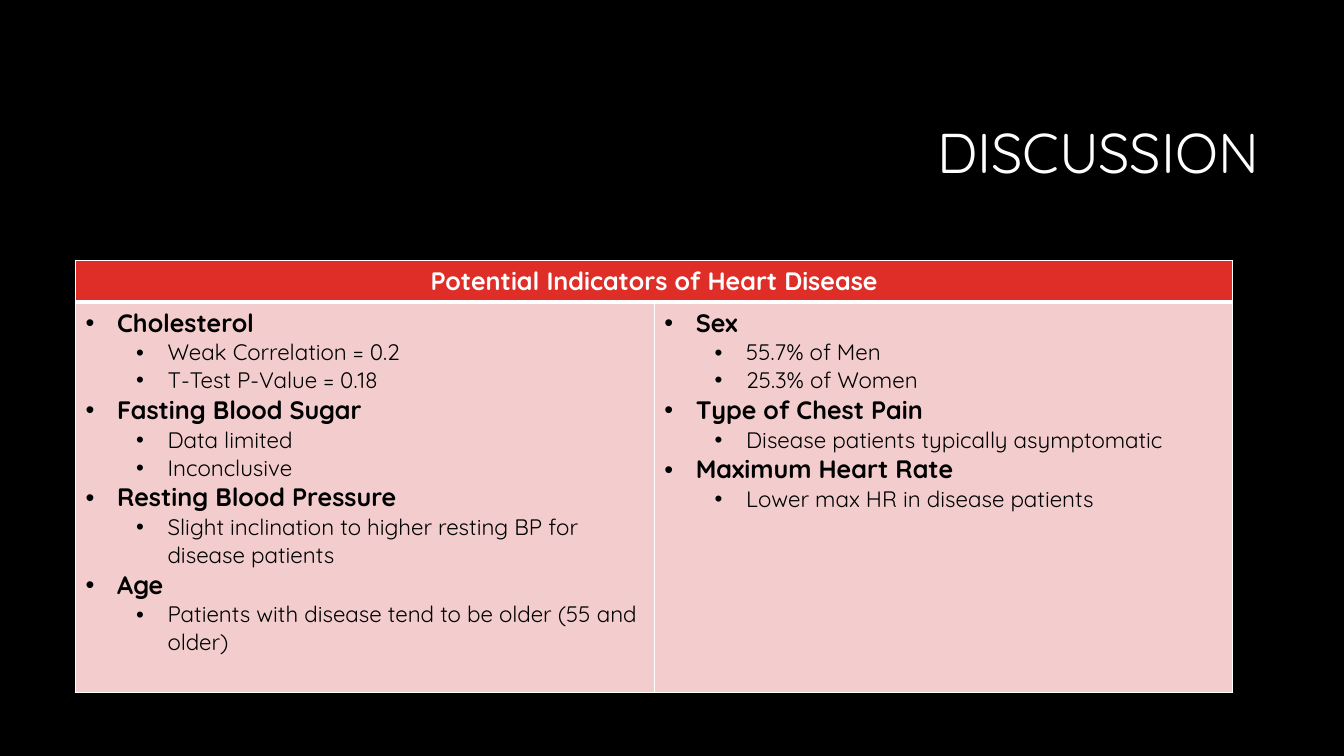
from lxml.etree import SubElement
from pptx import Presentation
from pptx.dml.color import RGBColor
from pptx.enum.text import MSO_ANCHOR as Anchor, PP_ALIGN as Align
from pptx.oxml.ns import qn
from pptx.util import Pt

COLORS = {"black": "000000", "white": "FFFFFF", "red": "DF2E28", "pink": "F3CDCD"}
INDICATORS = [
    [
        ("Cholesterol", ["Weak Correlation = 0.2", "T-Test P-Value = 0.18"]),
        ("Fasting Blood Sugar", ["Data limited", "Inconclusive"]),
        ("Resting Blood Pressure",
         ["Slight inclination to higher resting BP for disease patients"]),
        ("Age", ["Patients with disease tend to be older (55 and older)"]),
    ],
    [
        ("Sex", ["55.7% of Men", "25.3% of Women"]),
        ("Type of Chest Pain", ["Disease patients typically asymptomatic"]),
        ("Maximum Heart Rate", ["Lower max HR in disease patients"]),
    ],
]


def color(name):
    """Return the named palette color."""
    return RGBColor.from_string(COLORS[name])


def write(para, text, size=18, ink="black", bold=False, align=Align.LEFT):
    """Add formatted text to a paragraph."""
    para.alignment = align
    span = para.add_run()
    span.text = text
    span.font.name = "Quicksand"
    span.font.size = Pt(size)
    span.font.bold = bold
    span.font.color.rgb = color(ink)


class Page:
    """Style and drawing methods for one slide."""

    hang = 22.5
    step = 36

    def __init__(self, deck):
        """Add a title-only slide with a black background."""
        self.slide = deck.slides.add_slide(deck.slide_layouts[5])
        self.slide.background.fill.solid()
        self.slide.background.fill.fore_color.rgb = color("black")

    def title(self, text, left, top, width, height):
        """Place and fill the title placeholder."""
        box = self.slide.shapes.title
        box.left, box.top, box.width, box.height = map(Pt, (left, top, width, height))
        box.text_frame.vertical_anchor = Anchor.MIDDLE
        para = box.text_frame.paragraphs[0]
        para.line_spacing = 0.9
        write(para, text, size=40, ink="white", align=Align.RIGHT)

    def table(self, left, top, width, heights, columns):
        """Add an empty table with the given row heights."""
        frame = self.slide.shapes.add_table(
            len(heights), columns, Pt(left), Pt(top), Pt(width), Pt(sum(heights)))
        for row, height in zip(frame.table.rows, heights):
            row.height = Pt(height)
        return frame.table

    def cell(self, cell, fill, top=1, bottom=1):
        """Give a cell its white borders and its fill."""
        properties = cell._tc.get_or_add_tcPr()
        for side, weight in zip("LRTB", (1, 1, top, bottom)):
            line = SubElement(properties, qn(f"a:ln{side}"), w=str(Pt(weight)))
            paint = SubElement(line, qn("a:solidFill"))
            SubElement(paint, qn("a:srgbClr"), val=COLORS["white"])
        cell.fill.solid()
        cell.fill.fore_color.rgb = color(fill)

    def bullet(self, para, text, level=0):
        """Write one bulleted paragraph, bold at the first level."""
        para.level = level
        properties = para._p.get_or_add_pPr()
        properties.set("marL", str(Pt(self.hang + self.step * level)))
        properties.set("indent", str(Pt(-self.hang)))
        SubElement(properties, qn("a:buFont"), typeface="Arial")
        SubElement(properties, qn("a:buChar"), char="•")
        write(para, text, size=18 - 2 * level, bold=level == 0)

    def outline(self, cell, topics):
        """Fill a cell with topics and their findings."""
        lines = [(text, level) for topic, findings in topics
                 for text, level in [(topic, 0)] + [(item, 1) for item in findings]]
        frame = cell.text_frame
        for index, (text, level) in enumerate(lines):
            para = frame.add_paragraph() if index else frame.paragraphs[0]
            self.bullet(para, text, level)


def main():
    """Build and save the discussion slide."""
    deck = Presentation()
    deck.slide_width, deck.slide_height = Pt(960), Pt(540)
    page = Page(deck)
    page.title("DISCUSSION", 228.25, 60.5, 678.25, 101.5)

    table = page.table(54, 185.8, 826.6, (29.7, 279), len(INDICATORS))
    for column, topics in enumerate(INDICATORS):
        page.cell(table.cell(0, column), "red", bottom=3)
        page.cell(table.cell(1, column), "pink", top=3)
        page.outline(table.cell(1, column), topics)
    header = table.cell(0, 0)
    header.merge(table.cell(0, len(INDICATORS) - 1))
    write(header.text_frame.paragraphs[0], "Potential Indicators of Heart Disease",
          ink="white", bold=True, align=Align.CENTER)
    deck.save("out.pptx")


if __name__ == "__main__":
    main()
